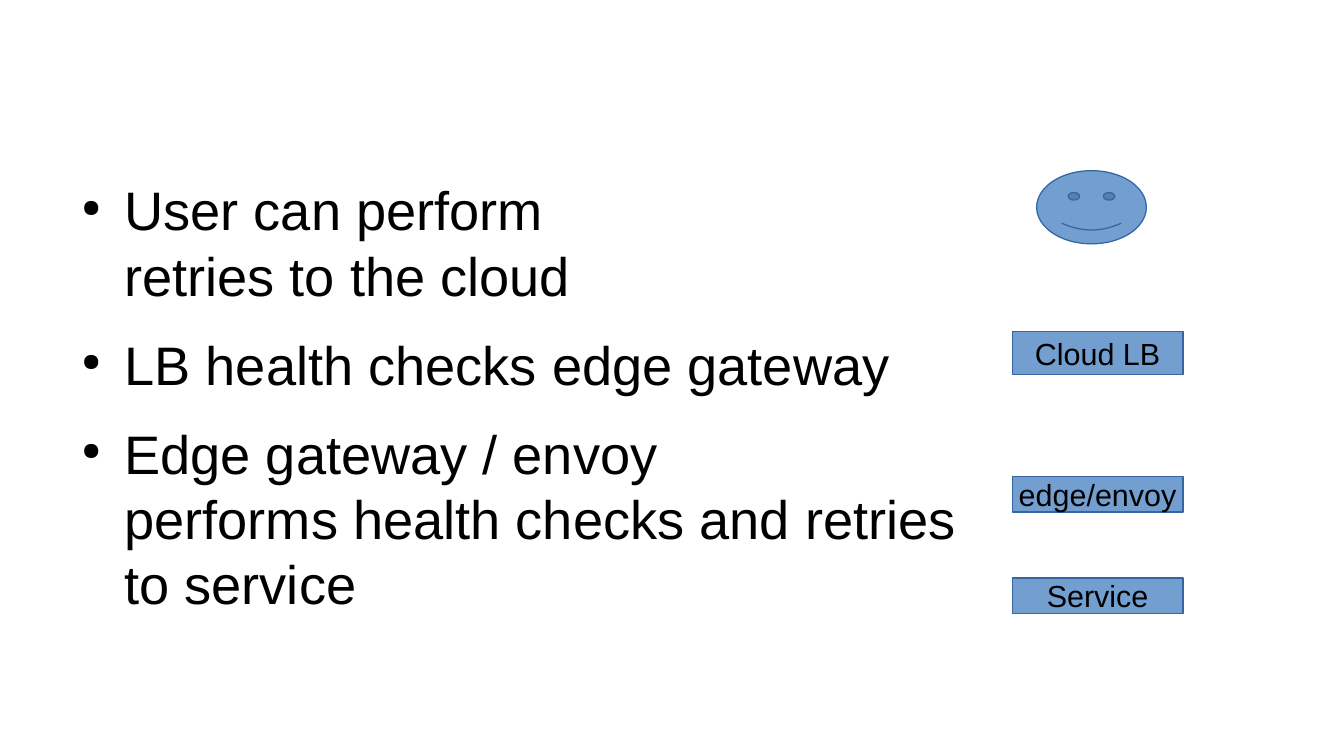
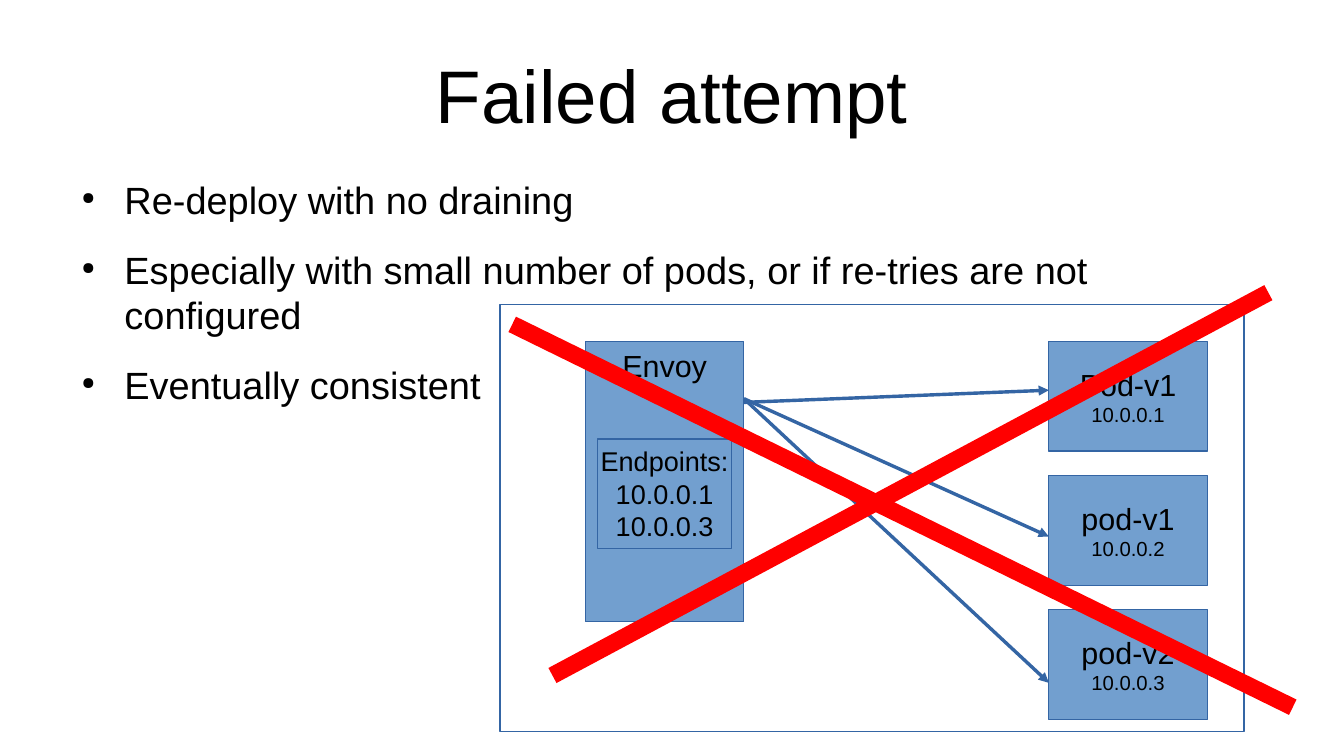
from dataclasses import dataclass

from lxml.etree import SubElement
from pptx import Presentation
from pptx.dml.color import RGBColor
from pptx.enum.shapes import MSO_CONNECTOR as Connector, MSO_SHAPE as Preset
from pptx.enum.text import MSO_ANCHOR as Anchor, PP_ALIGN as Align
from pptx.oxml.ns import qn
from pptx.util import Pt

PX = 9144
COLORS = {"text": "000000", "fill": "729FCF", "line": "3465A4", "cross": "FF0000"}
FONT = "Arial"
NO_MARGINS = dict.fromkeys(("margin_left", "margin_top", "margin_right", "margin_bottom"), 0)
BODY_FORMAT = {"word_wrap": True, "vertical_anchor": Anchor.TOP, **NO_MARGINS}
TITLE_FORMAT = {"word_wrap": True, "vertical_anchor": Anchor.MIDDLE, **NO_MARGINS}


@dataclass(frozen=True)
class Node:
    """A preset shape with its place in px and its (text, size) lines."""

    left: int
    top: int
    width: int
    height: int
    lines: tuple[tuple[str, float], ...] = ()
    anchor: Anchor = Anchor.MIDDLE
    preset: Preset = Preset.RECTANGLE
    filled: bool = True


@dataclass(frozen=True)
class Link:
    """A straight line between two points in px."""

    start: tuple[int, int]
    end: tuple[int, int]
    color: str = "line"
    weight: float = 0
    arrow: bool = True


def rgb(name: str) -> RGBColor:
    """Look up a palette colour."""
    return RGBColor.from_string(COLORS[name])


def px(*lengths: int) -> list[int]:
    """Turn px into EMU."""
    return [length * PX for length in lengths]


def apply(target, values: dict) -> None:
    """Set every attribute in a dict of format values."""
    for name, value in values.items():
        setattr(target, name, value)


def write(paragraph, text: str, size: float, align: Align) -> None:
    """Fill a paragraph with text in the shared font."""
    paragraph.text = text
    paragraph.alignment = align
    for run in paragraph.runs:
        apply(run.font, {"name": FONT, "size": Pt(size)})
        run.font.color.rgb = rgb("text")


def add_title(slide, text: str) -> None:
    """Place and format the title placeholder."""
    title = slide.shapes.title
    apply(title, dict(zip(("left", "top", "width", "height"), px(55, 25, 992, 104))))
    apply(title.text_frame, TITLE_FORMAT)
    write(title.text_frame.paragraphs[0], text, 44, Align.CENTER)


def add_bullets(slide, items: list[str], size: float, height: int) -> None:
    """Add the bulleted body text."""
    frame = slide.shapes.add_textbox(*px(55, 145, 992, height)).text_frame
    apply(frame, BODY_FORMAT)
    for index, item in enumerate(items):
        paragraph = frame.add_paragraph() if index else frame.paragraphs[0]
        properties = paragraph._p.get_or_add_pPr()
        properties.set("marL", str(47 * PX))
        properties.set("indent", str(-35 * PX))
        SubElement(properties, qn("a:buSzPct"), val="45000")
        SubElement(properties, qn("a:buChar"), char="●")
        write(paragraph, item, size, Align.LEFT)
        paragraph.space_before = Pt(14.2 if index else 0)


def add_node(slide, node: Node):
    """Draw a node with its centred lines of text."""
    shape = slide.shapes.add_shape(node.preset, *px(node.left, node.top, node.width, node.height))
    shape.shadow.inherit = False
    if node.filled:
        shape.fill.solid()
        shape.fill.fore_color.rgb = rgb("fill")
    else:
        shape.fill.background()
    shape.line.color.rgb = rgb("line")
    shape.line.width = 0
    frame = shape.text_frame
    apply(frame, {"word_wrap": False, "vertical_anchor": node.anchor})
    for index, (text, size) in enumerate(node.lines):
        paragraph = frame.add_paragraph() if index else frame.paragraphs[0]
        write(paragraph, text, size, Align.CENTER)
    return shape


def add_link(shapes, link: Link) -> None:
    """Draw a line, with an arrowhead at its end when asked."""
    connector = shapes.add_connector(Connector.STRAIGHT, *px(*link.start, *link.end))
    connector.line.color.rgb = rgb(link.color)
    connector.line.width = Pt(link.weight)
    if link.arrow:
        SubElement(connector.line._get_or_add_ln(), qn("a:tailEnd"), type="triangle")
    SubElement(connector._element.spPr, qn("a:effectLst"))


def build_retries(deck) -> None:
    """Build the slide on retries and health checks."""
    slide = deck.slides.add_slide(deck.slide_layouts[6])
    add_bullets(
        slide,
        [
            "User can perform\nretries to the cloud",
            "LB health checks edge gateway",
            "Edge gateway / envoy\nperforms health checks and retries\nto service",
        ],
        32,
        360,
    )
    user = add_node(slide, Node(850, 140, 90, 60, preset=Preset.SMILEY_FACE))
    user.adjustments[0] = 0.09
    for name, top, height in (("Cloud LB", 272, 35), ("edge/envoy", 391, 29), ("Service", 474, 29)):
        add_node(slide, Node(830, top, 140, height, ((name, 18),)))


def build_failed_attempt(deck) -> None:
    """Build the slide on the failed attempt."""
    slide = deck.slides.add_slide(deck.slide_layouts[5])
    add_title(slide, "Failed attempt")
    add_bullets(
        slide,
        [
            "Re-deploy with no draining",
            "Especially with small number of pods, or if re-tries are not configured",
            "Eventually consistent",
        ],
        22.4,
        145,
    )
    add_node(slide, Node(410, 250, 610, 350, filled=False))
    for row, name in enumerate(("Pod-v1", "pod-v1", "pod-v2")):
        address = f"10.0.0.{row + 1}"
        add_node(slide, Node(860, 280 + 110 * row, 130, 90, ((name, 18), (address, 12))))
    add_node(slide, Node(480, 280, 130, 230, (("Envoy", 18),), Anchor.TOP))
    endpoints = tuple((line, 16) for line in ("Endpoints:", "10.0.0.1", "10.0.0.3"))
    add_node(slide, Node(490, 360, 110, 90, endpoints, Anchor.TOP))
    for start_y, end_y in ((330, 320), (327, 440), (327, 560)):
        add_link(slide.shapes, Link((610, start_y), (860, end_y)))
    cross = slide.shapes.add_group_shape()
    for start, end in (((453, 554), (1040, 240)), ((420, 266), (1060, 580))):
        add_link(cross.shapes, Link(start, end, "cross", 10.09, False))


def main() -> None:
    """Build and save the deck."""
    deck = Presentation()
    deck.slide_width, deck.slide_height = px(1102, 620)
    build_retries(deck)
    build_failed_attempt(deck)
    deck.save("out.pptx")


if __name__ == "__main__":
    main()
